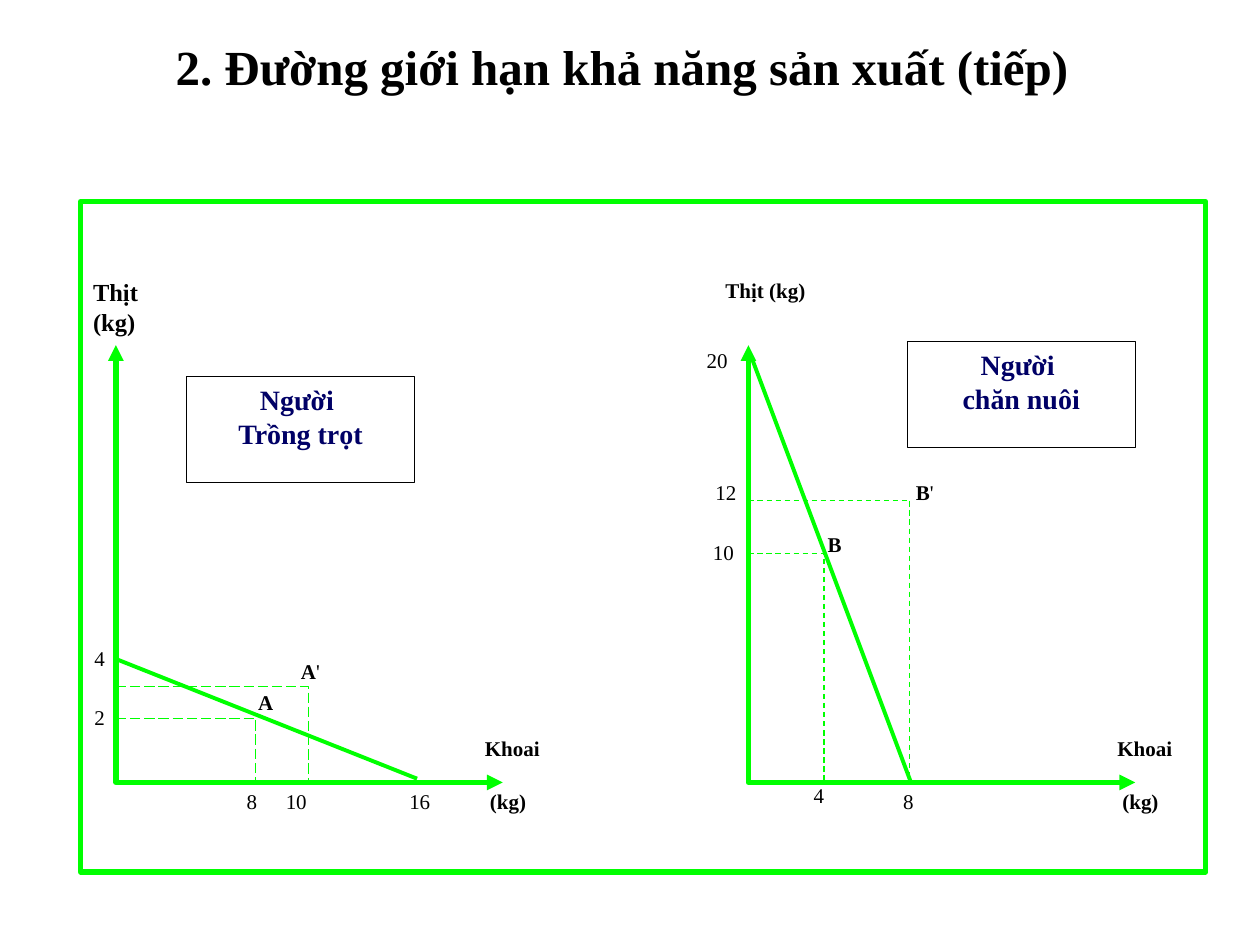
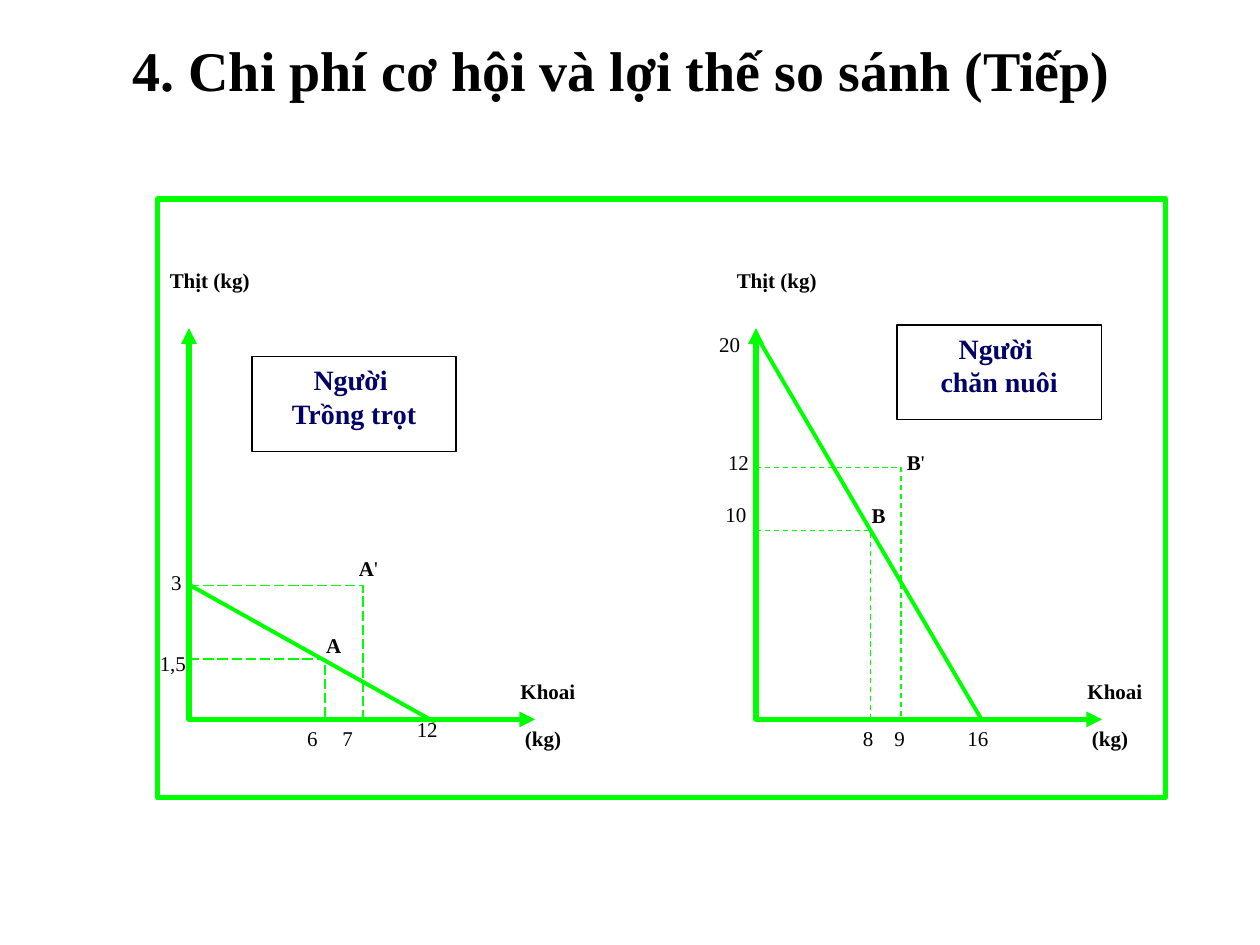
import pptx
import pptx.dml.color
import pptx.enum.dml
import pptx.enum.shapes
import pptx.enum.text
import pptx.oxml
import pptx.oxml.ns
import pptx.util
from lxml import etree

Inches = pptx.util.Inches
GREEN, BLACK, WHITE, NAVY = "00FF00", "000000", "FFFFFF", "000066"
FONT = "Times New Roman"
LONG_DASH = pptx.enum.dml.MSO_LINE.LONG_DASH
DASH = pptx.enum.dml.MSO_LINE.DASH
CENTER = pptx.enum.text.PP_ALIGN.CENTER


def rgb(value):
    return pptx.dml.color.RGBColor.from_string(value)


def add_run(p, text, size, color=BLACK, bold=False):
    r = p.add_run()
    r.text = text
    r.font.name = FONT
    r.font.size = pptx.util.Pt(size)
    r.font.bold = bold
    r.font.color.rgb = rgb(color)


def set_line(line, color, width, dash=None):
    line.color.rgb = rgb(color)
    line.width = pptx.util.Pt(width)
    if dash is not None:
        line.dash_style = dash


def add_textbox(s, x, y, w, h):
    tf = s.shapes.add_textbox(Inches(x), Inches(y), Inches(w), Inches(h)).text_frame
    tf.word_wrap = True
    return tf.paragraphs[0]


def add_title(s, text, size):
    p = add_textbox(s, 0.2, 0.29, 9.47, 0.55)
    p.alignment = CENTER
    p.line_spacing = 0.9
    add_run(p, text, size, bold=True)


def add_label(s, text, x, y, w=0.7, size=12, bold=False):
    p = add_textbox(s, x, y, w, 0.42)
    add_run(p, text.rstrip("'"), size, bold=bold)
    if text.endswith("'"):
        add_run(p, "'", size)


def add_rect(s, x, y, w, h, color, width, fill=None):
    sp = s.shapes.add_shape(pptx.enum.shapes.MSO_SHAPE.RECTANGLE,
                            Inches(x), Inches(y), Inches(w), Inches(h))
    sp.shadow.inherit = False
    set_line(sp.line, color, width)
    if fill:
        sp.fill.solid()
        sp.fill.fore_color.rgb = rgb(fill)
    else:
        sp.fill.background()
    return sp


def add_name_box(s, x, y, scale, name):
    sp = add_rect(s, x, y, 1.81 * scale, 0.84 * scale, BLACK, 0.75, WHITE)
    tf = sp.text_frame
    tf.word_wrap = True
    tf.vertical_anchor = pptx.enum.text.MSO_ANCHOR.TOP
    for p, text in ((tf.paragraphs[0], "Người "), (tf.add_paragraph(), name)):
        p.alignment = CENTER
        add_run(p, text, 16, NAVY, True)


def add_path(s, points, width, dash=None):
    pts = [(Inches(x), Inches(y)) for x, y in points]
    builder = s.shapes.build_freeform(*pts[0], scale=1.0)
    builder.add_line_segments(pts[1:], close=False)
    sp = builder.convert_to_shape()
    sp.shadow.inherit = False
    sp.fill.background()
    set_line(sp.line, GREEN, width, dash)
    return sp


def add_axes(s, x, y, right, top):
    sp = add_path(s, [(x, top), (x, y), (right, y)], 3)
    ln = sp.line._get_or_add_ln()
    for tag in ("a:headEnd", "a:tailEnd"):
        etree.SubElement(ln, pptx.oxml.ns.qn(tag), type="triangle")


def add_frontier(s, start, end):
    cx = s.shapes.add_connector(pptx.enum.shapes.MSO_CONNECTOR.STRAIGHT,
                                *(Inches(v) for v in start + end))
    set_line(cx.line, GREEN, 2.25)
    etree.SubElement(cx._element.spPr, pptx.oxml.ns.qn("a:effectLst"))


def add_graph(s, origin, scale, frontier, guides, dash, box, ticks, points, meat_size=12):
    x, y = origin
    right, top = x + 3.07 * scale, y - 3.47 * scale
    add_axes(s, x, y, right, top)
    for gx, gy in guides:
        add_path(s, [(x, gy), (gx, gy), (gx, y)], 0.75, dash)
    add_frontier(s, *frontier)
    add_name_box(s, *box[:2], scale, box[2])
    meat_width = 0.94 if meat_size == 12 else 0.9
    add_label(s, "Thịt (kg)", x - 0.28 * scale, top - 0.59 * scale, meat_width, meat_size, True)
    add_label(s, "Khoai", x + 2.83 * scale, y - 0.42 * scale, 0.94, bold=True)
    add_label(s, "(kg)", x + 2.87 * scale, y, 0.94, bold=True)
    for text, tx, ty in ticks:
        add_label(s, text, tx, ty)
    for text, px, py in points:
        add_label(s, text, px, py, bold=True)


def add_slide(prs, title, size, frame):
    s = prs.slides.add_slide(prs.slide_layouts[6])
    add_title(s, title, size)
    add_rect(s, *frame, GREEN, 3)
    return s


def main():
    prs = pptx.Presentation()
    prs.slide_width, prs.slide_height = Inches(10), Inches(7.5)

    s = add_slide(prs, "2. Đường giới hạn khả năng sản xuất (tiếp)", 28, (0.64, 1.6, 8.93, 5.32))
    add_graph(s, (0.92, 6.21), 1, ((0.92, 5.23), (3.31, 6.18)),
              [(2.03, 5.7), (2.45, 5.45)], LONG_DASH, (1.48, 2.99, "Trồng trọt"),
              [("8", 1.86, 6.21), ("10", 2.17, 6.21), ("16", 3.15, 6.21),
               ("2", 0.65, 5.54), ("4", 0.65, 5.07)],
              [("A", 1.95, 5.42), ("A'", 2.29, 5.18)], meat_size=14)
    add_graph(s, (5.94, 6.21), 1, ((5.97, 2.85), (7.23, 6.21)),
              [(6.54, 4.39), (7.22, 3.97)], DASH, (7.2, 2.71, "chăn nuôi"),
              [("4", 6.36, 6.16), ("8", 7.07, 6.21), ("10", 5.56, 4.23),
               ("12", 5.58, 3.76), ("20", 5.51, 2.71)],
              [("B", 6.47, 4.17), ("B'", 7.17, 3.76)])

    s = add_slide(prs, "4. Chi phí cơ hội và lợi thế so sánh (Tiếp)", 32, (1.25, 1.58, 8, 4.75))
    scale = 0.895
    add_graph(s, (1.5, 5.71), scale, ((1.5, 4.64), (3.45, 5.73)),
              [(2.58, 5.23), (2.88, 4.65)], LONG_DASH, (2, 2.83, "Trồng trọt"),
              [("6", 2.34, 5.71), ("7", 2.62, 5.71), ("12", 3.21, 5.64),
               ("1,5", 1.17, 5.11), ("3", 1.26, 4.47)],
              [("A", 2.49, 4.97), ("A'", 2.75, 4.36)])
    add_graph(s, (6, 5.71), scale, ((6.03, 2.71), (7.79, 5.71)),
              [(6.91, 4.21), (7.15, 3.71)], DASH, (7.12, 2.58, "chăn nuôi"),
              [("8", 6.75, 5.71), ("9", 7, 5.71), ("16", 7.58, 5.71),
               ("10", 5.66, 3.93), ("12", 5.68, 3.52), ("20", 5.61, 2.58)],
              [("B", 6.82, 3.94), ("B'", 7.1, 3.52)])

    prs.save("out.pptx")


main()
